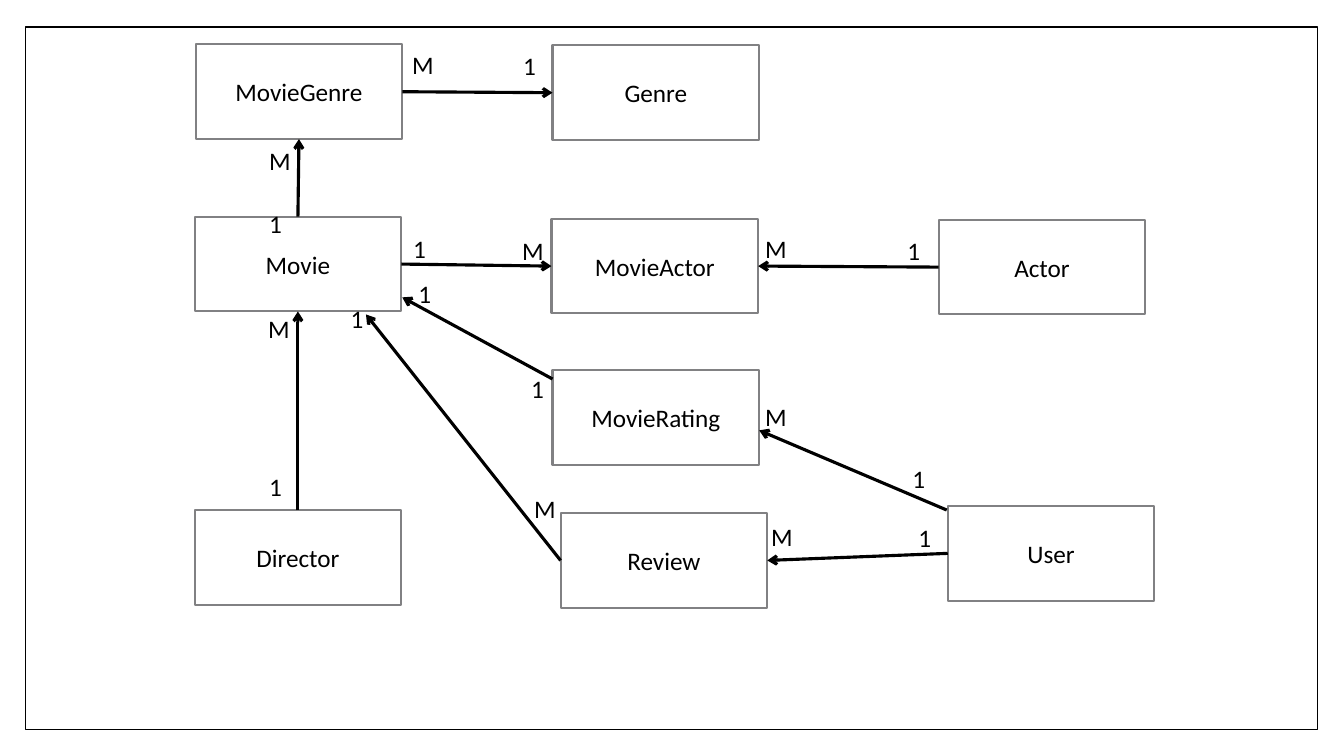
from dataclasses import dataclass

from lxml.etree import SubElement
from pptx import Presentation
from pptx.dml.color import RGBColor
from pptx.enum.shapes import MSO_CONNECTOR, MSO_SHAPE
from pptx.enum.text import MSO_ANCHOR, MSO_AUTO_SIZE, PP_ALIGN
from pptx.oxml.ns import qn
from pptx.util import Inches, Pt


@dataclass(frozen=True)
class Theme:
    font: str = "Calibri"
    text_size: float = 18
    ink: RGBColor = RGBColor(0, 0, 0)
    paper: RGBColor = RGBColor(255, 255, 255)
    entity_line: RGBColor = RGBColor(0x81, 0x81, 0x83)
    frame_width: float = 1
    entity_width: float = 1.5
    relation_width: float = 2.25


THEME = Theme()
ENTITY_SIZE = (2.05, 0.94)
LABEL_SIZE = (0.39, 0.4)
TOP, LEFT, BOTTOM, RIGHT = range(4)

ENTITIES = {
    "MovieGenre": (1.94, 0.44),
    "Genre": (5.48, 0.45),
    "Movie": (1.93, 2.15),
    "MovieActor": (5.47, 2.17),
    "Actor": (9.31, 2.18),
    "MovieRating": (5.48, 3.67),
    "Director": (1.93, 5.06),
    "Review": (5.56, 5.09),
    "User": (9.4, 5.02),
}

SIDE_RELATIONS = [
    ("MovieGenre", RIGHT, "Genre", LEFT),
    ("Movie", TOP, "MovieGenre", BOTTOM),
    ("Movie", RIGHT, "MovieActor", LEFT),
    ("Actor", LEFT, "MovieActor", RIGHT),
    ("Director", TOP, "Movie", BOTTOM),
    ("User", LEFT, "Review", RIGHT),
]

SLANTED_RELATIONS = [
    ((5.56, 5.56), (3.63, 3.12)),
    ((9.39, 5.06), (7.53, 4.27)),
    ((5.48, 3.76), (3.99, 2.95)),
]

CARDINALITIES = {
    "M": [
        (3.99, 0.44), (2.57, 1.39), (5.08, 2.29), (7.49, 2.27),
        (2.56, 3.06), (7.49, 3.93), (5.2, 4.84), (7.55, 5.12),
    ],
    "1": [
        (5.09, 0.45), (2.57, 2.02), (4, 2.27), (8.9, 2.29), (4.05, 2.71),
        (3.38, 2.96), (5.17, 3.65), (8.95, 4.55), (2.57, 4.63), (9.01, 5.13),
    ],
}


def inches(*lengths):
    return [Inches(length) for length in lengths]


def write_text(shape, text, align=PP_ALIGN.LEFT, anchor=MSO_ANCHOR.TOP,
               fit=MSO_AUTO_SIZE.NONE):
    frame = shape.text_frame
    frame.word_wrap = True
    frame.auto_size = fit
    frame.vertical_anchor = anchor
    paragraph = frame.paragraphs[0]
    paragraph.alignment = align
    run = paragraph.add_run()
    run.text = text
    run.font.name = THEME.font
    run.font.size = Pt(THEME.text_size)
    run.font.color.rgb = THEME.ink


def add_box(slide, position, size, color, width):
    box = slide.shapes.add_shape(MSO_SHAPE.RECTANGLE, *inches(*position, *size))
    box.shadow.inherit = False
    box.fill.solid()
    box.fill.fore_color.rgb = THEME.paper
    box.line.color.rgb = color
    box.line.width = Pt(width)
    return box


def add_entity(slide, name, position):
    entity = add_box(slide, position, ENTITY_SIZE, THEME.entity_line, THEME.entity_width)
    write_text(entity, name, align=PP_ALIGN.CENTER, anchor=MSO_ANCHOR.MIDDLE)
    return entity


def add_relation(slide, start=(0, 0), end=(0, 0)):
    relation = slide.shapes.add_connector(MSO_CONNECTOR.STRAIGHT, *inches(*start, *end))
    relation.line.color.rgb = THEME.ink
    relation.line.width = Pt(THEME.relation_width)
    SubElement(relation.line._get_or_add_ln(), qn("a:tailEnd"), type="arrow")
    SubElement(relation._element.spPr, qn("a:effectLst"))
    return relation


def add_cardinality(slide, text, position):
    label = slide.shapes.add_textbox(*inches(*position, *LABEL_SIZE))
    write_text(label, text, fit=MSO_AUTO_SIZE.SHAPE_TO_FIT_TEXT)


def main():
    deck = Presentation()
    deck.slide_width, deck.slide_height = inches(13.33, 7.5)
    slide = deck.slides.add_slide(deck.slide_layouts[6])

    add_box(slide, (0.25, 0.27), (12.82, 6.97), THEME.ink, THEME.frame_width)
    entities = {name: add_entity(slide, name, position)
                for name, position in ENTITIES.items()}

    for source, source_side, target, target_side in SIDE_RELATIONS:
        relation = add_relation(slide)
        relation.begin_connect(entities[source], source_side)
        relation.end_connect(entities[target], target_side)
    for start, end in SLANTED_RELATIONS:
        add_relation(slide, start, end)

    for text, positions in CARDINALITIES.items():
        for position in positions:
            add_cardinality(slide, text, position)

    deck.save("out.pptx")


main()
